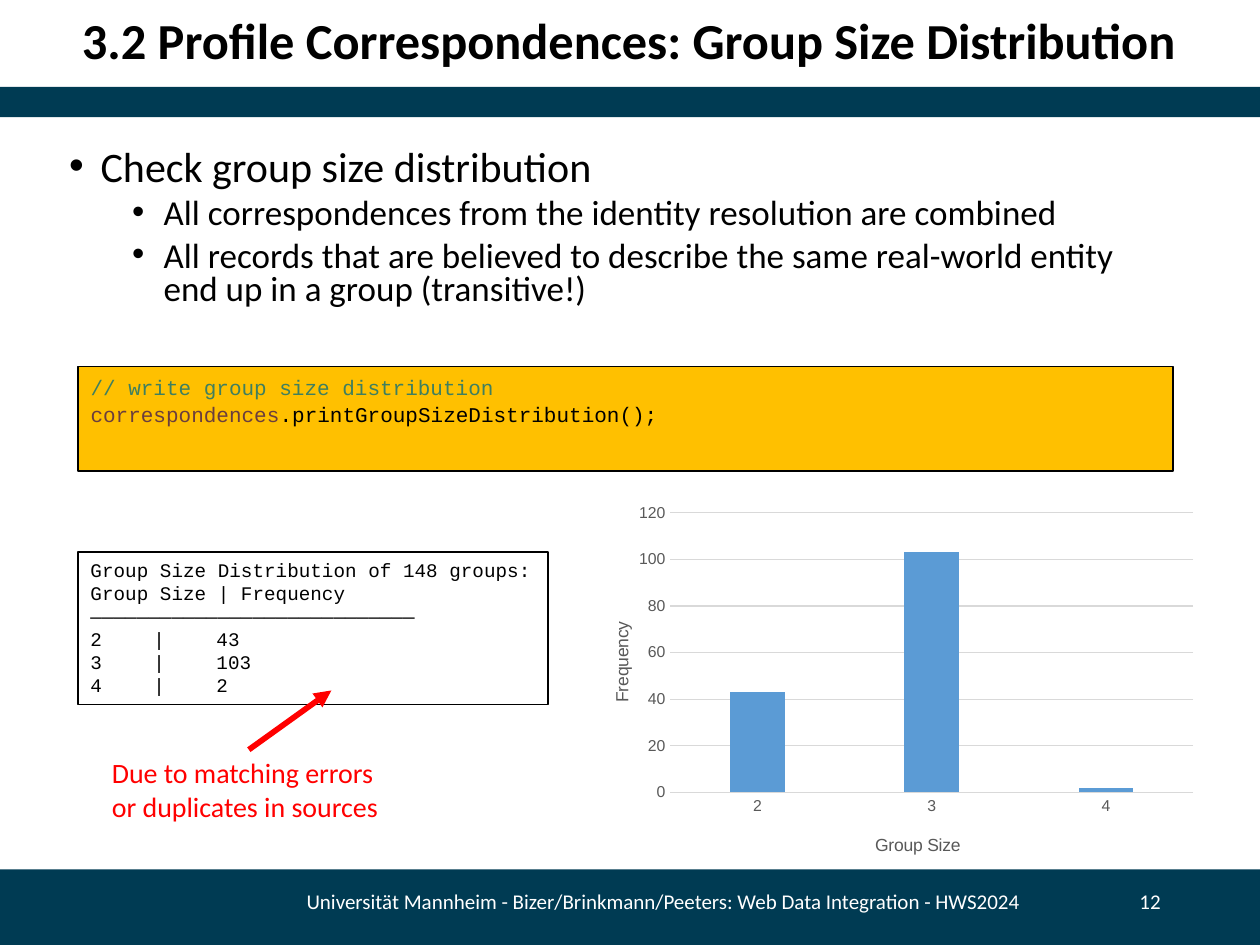
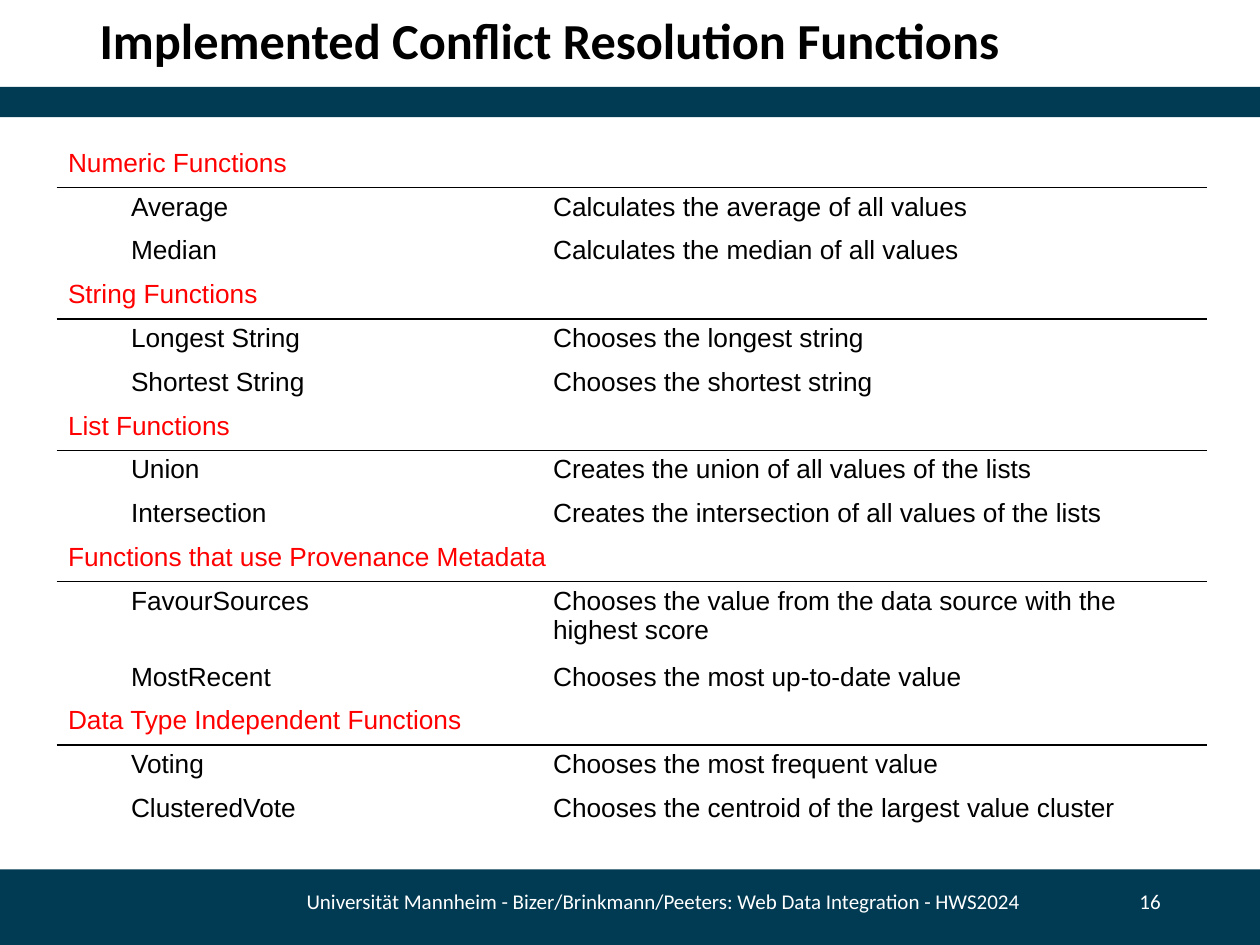
from dataclasses import dataclass
from lxml.etree import SubElement
from pptx import Presentation
from pptx.chart.data import CategoryChartData
from pptx.dml.color import RGBColor
from pptx.enum.chart import XL_CHART_TYPE, XL_TICK_MARK
from pptx.enum.shapes import MSO_CONNECTOR, MSO_SHAPE
from pptx.enum.text import MSO_ANCHOR, MSO_AUTO_SIZE, PP_ALIGN
from pptx.oxml import parse_xml
from pptx.oxml.ns import nsdecls, qn
from pptx.util import Inches, Pt


@dataclass(frozen=True)
class Theme:
    # Colours
    navy: str = "003B53"
    black: str = "000000"
    white: str = "FFFFFF"
    red: str = "FF0000"
    amber: str = "FFC000"
    green: str = "3F7F5F"
    brown: str = "6A3E3E"
    blue: str = "5B9BD5"
    gray: str = "595959"
    pale: str = "D9D9D9"
    # Fonts
    sans: str = "Calibri"
    plain: str = "Arial"
    mono: str = "Courier New"
    # Type sizes
    title: float = 28.8
    lead: float = 24
    point: float = 20
    note: float = 16
    cell: float = 15
    code: float = 12
    foot: float = 12
    log: float = 11
    axis: float = 10
    tick: float = 9


FOOTER = "Universität Mannheim - Bizer/Brinkmann/Peeters: Web Data Integration - HWS2024"
NO_GRID = "{2D5ABB26-0587-4C30-8999-92F81FD0307C}"


def rgb(code):
    return RGBColor.from_string(code)


def style(font, face, size, color, bold=False):
    font.name, font.size, font.bold = face, Pt(size), bold
    font.color.rgb = rgb(color)


def place(node, **parts):
    """Set a manual chart layout, as shares of the chart area."""
    lay = node.find(qn("c:layout"))
    if lay is None:
        lay = parse_xml(f"<c:layout {nsdecls('c')}/>")
        node.insert(0 if node.find(qn("c:tx")) is None else 1, lay)
    man = SubElement(lay, qn("c:manualLayout"))
    if "w" in parts:
        SubElement(man, qn("c:layoutTarget")).set("val", "inner")
    for key in "xy":
        SubElement(man, qn(f"c:{key}Mode")).set("val", "edge")
    for key, share in parts.items():
        SubElement(man, qn(f"c:{key}")).set("val", str(share))


class Deck:
    def __init__(self, theme):
        self.theme = theme
        self.prs = Presentation()
        self.prs.slide_width, self.prs.slide_height = Inches(10), Inches(7.5)
        self.slide = None

    # Frame shared by all slides
    def start(self, title, left, width, page):
        t = self.theme
        self.slide = self.prs.slides.add_slide(self.prs.slide_layouts[5])
        self.box(0, 6.9, 10, 0.6, fill=t.navy)
        self.box(0, 0.69, 10, 0.24, fill=t.navy)
        head = self.slide.shapes.title
        head.left, head.top = Inches(left), Inches(0.11)
        head.width, head.height = Inches(width), Inches(0.46)
        head.text_frame.auto_size = MSO_AUTO_SIZE.NONE
        self.label(head, [title], t.sans, t.title, t.black, bold=True,
                   anchor=MSO_ANCHOR.MIDDLE, space=0.9)
        for x, w, words, align in ((1.74, 7.05, FOOTER, PP_ALIGN.CENTER),
                                   (8.79, 0.52, str(page), PP_ALIGN.RIGHT)):
            self.label(self.area(x, 6.95, w, 0.4), [words], t.sans, t.foot,
                       t.white, align=align, anchor=MSO_ANCHOR.MIDDLE)

    # Text
    def area(self, x, y, w, h):
        return self.slide.shapes.add_textbox(*map(Inches, (x, y, w, h)))

    def label(self, shape, lines, face, size, color, bold=False,
              align=PP_ALIGN.LEFT, anchor=MSO_ANCHOR.TOP, space=1.0):
        """Fill a shape; a line is a string or a list of (text, colour) runs."""
        frame = shape.text_frame
        frame.word_wrap, frame.vertical_anchor = True, anchor
        for i, line in enumerate(lines):
            para = frame.paragraphs[0] if i == 0 else frame.add_paragraph()
            para.alignment, para.line_spacing = align, space
            if isinstance(line, str):
                para.text = line
            else:
                for words, tint in line:
                    run = para.add_run()
                    run.text = words
                    run.font.color.rgb = rgb(tint)
            style(para.font, face, size, color, bold)

    def bullets(self, x, y, w, h, items):
        t = self.theme
        frame = self.area(x, y, w, h).text_frame
        frame.word_wrap = True
        for i, (level, words) in enumerate(items):
            para = frame.paragraphs[0] if i == 0 else frame.add_paragraph()
            para.text, para.level, para.line_spacing = words, level, 0.8
            if i:
                para.space_before = Pt(5)
            props = para._p.get_or_add_pPr()
            props.set("marL", str(Inches(0.25 + 0.5 * level)))
            props.set("indent", str(-Inches(0.25)))
            SubElement(props, qn("a:buFont")).set("typeface", t.plain)
            SubElement(props, qn("a:buChar")).set("char", "•")
            style(para.font, t.sans, t.point if level else t.lead, t.black)

    # Shapes
    def box(self, x, y, w, h, fill=None, line=None):
        shape = self.slide.shapes.add_shape(
            MSO_SHAPE.RECTANGLE, *map(Inches, (x, y, w, h)))
        shape.shadow.inherit = False
        if fill:
            shape.fill.solid()
            shape.fill.fore_color.rgb = rgb(fill)
        else:
            shape.fill.background()
        if line:
            shape.line.color.rgb, shape.line.width = rgb(line), Pt(0.75)
        else:
            shape.line.fill.background()
        return shape

    def arrow(self, source, x, y, color):
        """Draw an arrow from the top of a shape to a point."""
        link = self.slide.shapes.add_connector(
            MSO_CONNECTOR.STRAIGHT, 0, 0, Inches(x), Inches(y))
        link.begin_connect(source, 0)
        link.line.color.rgb, link.line.width = rgb(color), Pt(3.25)
        SubElement(link.line._get_or_add_ln(), qn("a:tailEnd")).set("type", "triangle")
        SubElement(link._element.spPr, qn("a:effectLst"))

    # Chart
    def chart(self, x, y, w, h, cats, values):
        t = self.theme
        data = CategoryChartData()
        data.categories = cats
        data.add_series("Series 1", values)
        chart = self.slide.shapes.add_chart(
            XL_CHART_TYPE.COLUMN_CLUSTERED, *map(Inches, (x, y, w, h)), data).chart
        chart.has_legend = chart.has_title = False
        style(chart.font, t.plain, t.axis, t.black)
        plot = chart.plots[0]
        plot.gap_width, plot.overlap, plot.vary_by_categories = 219, -27, False
        fill = plot.series[0].format.fill
        fill.solid()
        fill.fore_color.rgb = rgb(t.blue)
        base, side = chart.category_axis, chart.value_axis
        for axis, name, left, top in ((base, "Group Size", 0.47, 0.88),
                                      (side, "Frequency", 0.05, 0.32)):
            axis.major_tick_mark = axis.minor_tick_mark = XL_TICK_MARK.NONE
            style(axis.tick_labels.font, t.plain, t.tick, t.gray)
            head = axis.axis_title
            head.text_frame.text = name
            style(head.text_frame.paragraphs[0].font, t.plain, t.axis, t.gray)
            place(head._element, x=left, y=top)
        side.minimum_scale, side.maximum_scale, side.major_unit = 0, 120, 20
        side.format.line.fill.background()
        for line in (base.format.line, side.major_gridlines.format.line):
            line.color.rgb, line.width = rgb(t.pale), Pt(0.75)
        place(chart._chartSpace.chart.plotArea, x=0.15, y=0.04, w=0.83, h=0.74)

    # Table
    def fill_cell(self, cell, words, color):
        t = self.theme
        cell.margin_left = cell.margin_right = Inches(0.09)
        cell.margin_top = cell.margin_bottom = Inches(0.04)
        para = cell.text_frame.paragraphs[0]
        para.text = words
        style(para.font, t.plain, t.cell, color)

    def rule(self, cell):
        """Draw a line below a cell."""
        edge = parse_xml(
            f'<a:lnB {nsdecls("a")} w="{Pt(1)}"><a:solidFill>'
            f'<a:srgbClr val="{self.theme.black}"/></a:solidFill></a:lnB>')
        cell._tc.get_or_add_tcPr().insert(0, edge)

    def table(self, x, y, widths, height, groups, tall):
        """List groups of entries; the entry named tall takes two lines."""
        t = self.theme
        rows = [row for name, items in groups for row in [(name, None), *items]]
        high = 0.6
        step = (height - high) / (len(rows) - 1)
        grid = self.slide.shapes.add_table(
            len(rows), len(widths),
            *map(Inches, (x, y, sum(widths), height))).table
        grid.first_row = grid.horz_banding = False
        grid._tbl.tblPr.find(qn("a:tableStyleId")).text = NO_GRID
        for col, width in zip(grid.columns, widths):
            col.width = Inches(width)
        for i, (name, about) in enumerate(rows):
            grid.rows[i].height = Inches(high if name == tall else step)
            cells = [grid.cell(i, j) for j in range(len(widths))]
            for cell in cells:
                cell.fill.background()
            if about is None:
                cells[0].merge(cells[-1])
                self.fill_cell(cells[0], name, t.red)
                for cell in cells:
                    self.rule(cell)
            else:
                for cell, words in zip(cells, ("", name, about)):
                    self.fill_cell(cell, words, t.black)


def sizes(deck):
    t = deck.theme
    deck.start("3.2 Profile Correspondences: Group Size Distribution", 0.55, 9.02, 12)
    deck.bullets(0.45, 1.14, 9.12, 1.43, [
        (0, "Check group size distribution"),
        (1, "All correspondences from the identity resolution are combined"),
        (1, "All records that are believed to describe the same real-world entity \n"
            "end up in a group (transitive!)")])
    # Code and its output
    code = deck.box(0.62, 2.91, 8.69, 0.83, t.amber, t.black)
    deck.label(code, [
        [("// write group size distribution", t.green)],
        [("correspondences", t.brown), (".printGroupSizeDistribution();", t.black)],
    ], t.mono, t.code, t.black, space=1.07)
    counts = {"2": 43, "3": 103, "4": 2}
    log = deck.box(0.62, 4.38, 3.73, 1.21, line=t.black)
    deck.label(log, ["Group Size Distribution of 148 groups:",
                     "Group Size | Frequency", "—" * 28,
                     *(f"{size}\t| \t{n}" for size, n in counts.items())],
               t.mono, t.log, t.black)
    deck.chart(4.57, 3.95, 5, 3, list(counts), list(counts.values()))
    # Remark on the last count
    note = deck.area(0.79, 5.95, 2.37, 0.64)
    deck.label(note, ["Due to matching errors \nor duplicates in sources"],
               t.sans, t.note, t.red)
    deck.arrow(note, 2.63, 5.48, t.red)


def solvers(deck):
    deck.start("Implemented Conflict Resolution Functions", 0.69, 8.62, 16)
    deck.table(0.45, 1.14, (0.5, 3.35, 5.28), 5.47, [
        ("Numeric Functions", [
            ("Average", "Calculates the average of all values"),
            ("Median", "Calculates the median of all values")]),
        ("String Functions", [
            ("Longest String", "Chooses the longest string"),
            ("Shortest String", "Chooses the shortest string")]),
        ("List Functions", [
            ("Union", "Creates the union of all values of the lists"),
            ("Intersection", "Creates the intersection of all values of the lists")]),
        ("Functions that use Provenance Metadata", [
            ("FavourSources",
             "Chooses the value from the data source with the highest score"),
            ("MostRecent", "Chooses the most up-to-date value")]),
        ("Data Type Independent Functions", [
            ("Voting", "Chooses the most frequent value"),
            ("ClusteredVote", "Chooses the centroid of the largest value cluster")]),
    ], tall="FavourSources")


def main():
    deck = Deck(Theme())
    sizes(deck)
    solvers(deck)
    deck.prs.save("out.pptx")


if __name__ == "__main__":
    main()
